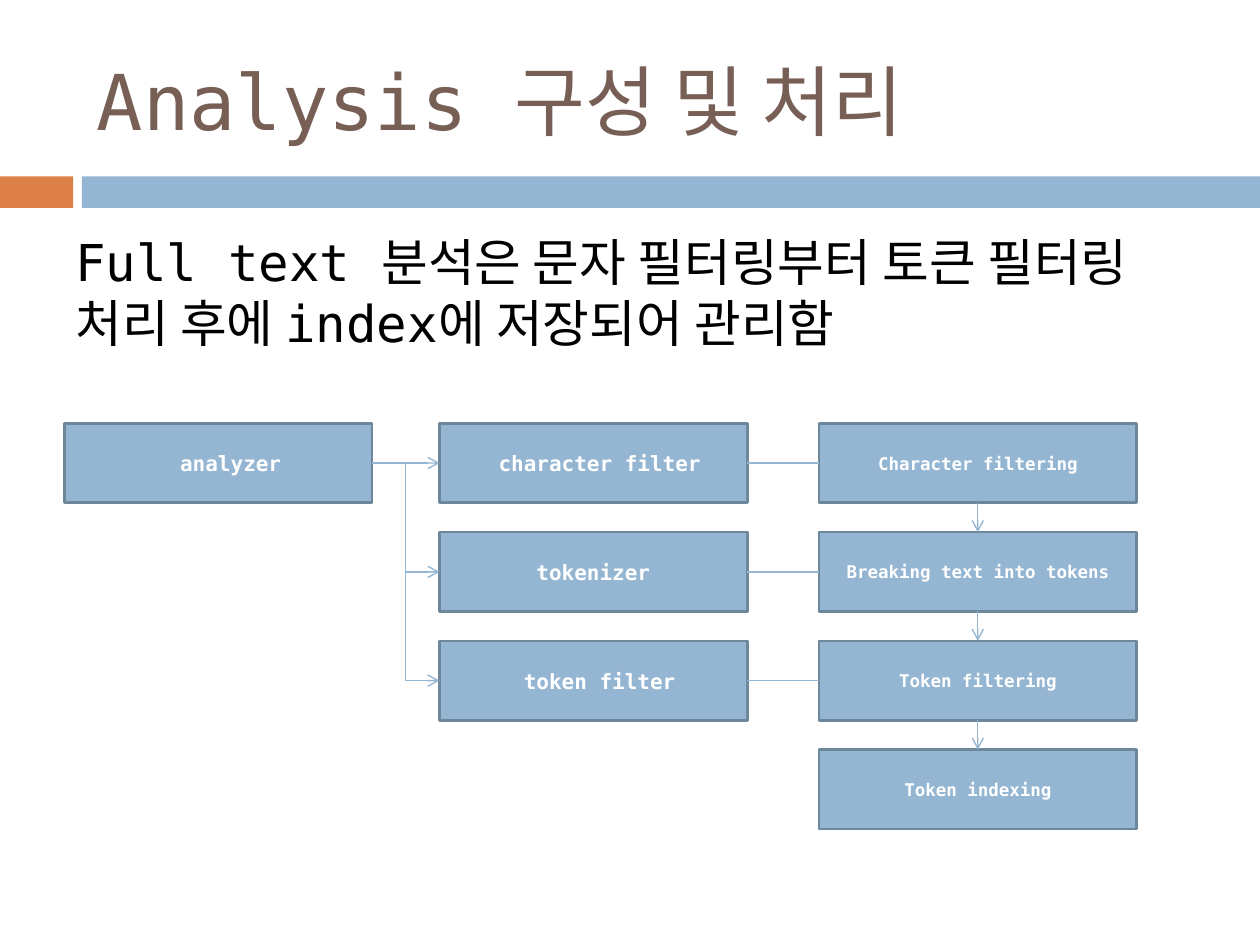
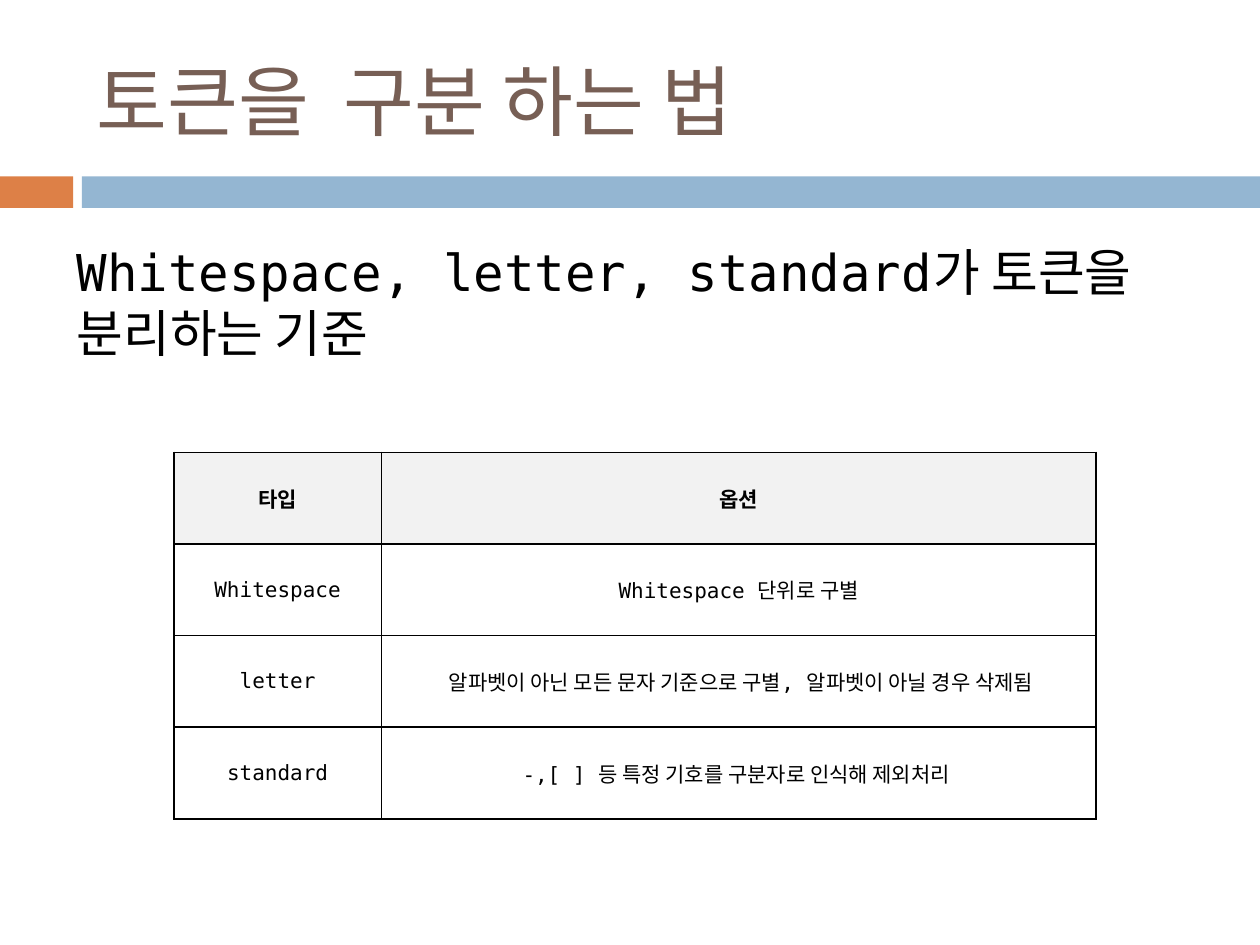
from lxml import etree
from pptx import Presentation
from pptx.dml.color import RGBColor
from pptx.enum.shapes import MSO_CONNECTOR, MSO_SHAPE
from pptx.enum.text import MSO_ANCHOR, PP_ALIGN
from pptx.oxml.ns import qn
from pptx.util import Inches, Pt

RECT = MSO_SHAPE.RECTANGLE
STRAIGHT, ELBOW = MSO_CONNECTOR.STRAIGHT, MSO_CONNECTOR.ELBOW
TOP, MIDDLE = MSO_ANCHOR.TOP, MSO_ANCHOR.MIDDLE
LEFT, CENTER = PP_ALIGN.LEFT, PP_ALIGN.CENTER
SITE_TOP, SITE_LEFT, SITE_BOTTOM, SITE_RIGHT = range(4)

FONT = "DejaVu Sans Mono"
COLORS = {
    "accent": "DD8047", "blue": "94B6D2", "edge": "6D879B", "title": "775F55",
    "text": "000000", "white": "FFFFFF", "header": "F2F2F2",
}
PARTS = ["character filter", "tokenizer", "token filter"]
STEPS = ["Character filtering", "Breaking text into tokens",
         "Token filtering", "Token indexing"]
TOKEN_ROWS = [
    ("타입", "옵션"),
    ("Whitespace", "Whitespace 단위로 구별"),
    ("letter", " 알파벳이 아닌 모든 문자 기준으로 구별, 알파벳이 아닐 경우 삭제됨"),
    ("standard", "-,[ ] 등 특정 기호를 구분자로 인식해 제외처리 "),
]


def rgb(name):
    """Return the named palette colour."""
    return RGBColor.from_string(COLORS[name])


def write(tf, text, size, color, bold=False, align=LEFT, before=0):
    """Fill a text frame with one formatted paragraph."""
    tf.text = text
    p = tf.paragraphs[0]
    p.alignment = align
    p.space_before = Pt(before)
    for r in p.runs:
        r.font.name, r.font.size, r.font.bold = FONT, Pt(size), bold
        r.font.color.rgb = rgb(color)


def add_text(s, box, text, size, color, anchor=TOP, before=0):
    """Add a wrapping text box."""
    tf = s.shapes.add_textbox(*map(Inches, box)).text_frame
    tf.word_wrap = True
    tf.vertical_anchor = anchor
    write(tf, text, size, color, before=before)


def add_rect(s, box, fill, edge=None):
    """Add a flat rectangle, outlined when an edge colour is given."""
    sp = s.shapes.add_shape(RECT, *map(Inches, box))
    sp.shadow.inherit = False
    sp.fill.solid()
    sp.fill.fore_color.rgb = rgb(fill)
    if edge:
        sp.line.color.rgb = rgb(edge)
        sp.line.width = Pt(1.5)
    else:
        sp.line.fill.background()
    return sp


def add_node(s, box, text, size):
    """Add a labelled diagram node."""
    sp = add_rect(s, box, "blue", "edge")
    tf = sp.text_frame
    tf.word_wrap = True
    tf.vertical_anchor = MIDDLE
    write(tf, text, size, "white", True, CENTER)
    return sp


def link(s, start, end, sites=(SITE_RIGHT, SITE_LEFT), kind=STRAIGHT, arrow=True):
    """Join two nodes at the given connection sites."""
    cx = s.shapes.add_connector(kind, 0, 0, 0, 0)
    cx.begin_connect(start, sites[0])
    cx.end_connect(end, sites[1])
    cx.line.color.rgb = rgb("blue")
    cx.line.width = Pt(0.79)
    if arrow:
        etree.SubElement(cx.line._get_or_add_ln(), qn("a:tailEnd"), type="arrow")
    etree.SubElement(cx._element.spPr, qn("a:effectLst"))


def add_frame(prs, title, body, body_box):
    """Add a slide with the shared bands, title and lead text."""
    s = prs.slides.add_slide(prs.slide_layouts[6])
    add_rect(s, (0, 1.4, 0.58, 0.25), "accent")
    add_rect(s, (0.65, 1.4, 9.35, 0.25), "blue")
    add_text(s, (0.67, 0.25, 8.92, 1.08), title, 44, "title", MIDDLE)
    add_text(s, body_box, body, 29, "text", before=7)
    return s


def add_flow(s, box):
    """Draw the analyzer, its parts and the processing steps in three columns."""
    x, y, w, h = box
    part_w, step_w = w * 0.287, w * 0.296
    part_x, step_x = x + w * 0.35, x + w - step_w
    pitch = h / (len(STEPS) - 0.27)
    node_h = pitch * 0.73
    parts = [add_node(s, (part_x, y + i * pitch, part_w, node_h), text, 12)
             for i, text in enumerate([" " + PARTS[0], PARTS[1], " " + PARTS[2]])]
    steps = [add_node(s, (step_x, y + i * pitch, step_w, node_h), text, 10)
             for i, text in enumerate(STEPS)]
    analyzer = add_node(s, (x, y, part_w, node_h), "  analyzer", 12)
    for i, part in enumerate(parts):
        link(s, analyzer, part, kind=ELBOW if i else STRAIGHT)
    for upper, lower in zip(steps, steps[1:]):
        link(s, upper, lower, (SITE_BOTTOM, SITE_TOP))
    for part, step in zip(parts, steps):
        link(s, part, step, arrow=False)


def border(cell):
    """Draw a thin line on all four sides of a cell."""
    tc_pr = cell._tc.get_or_add_tcPr()
    for i, side in enumerate(("lnL", "lnR", "lnT", "lnB")):
        ln = etree.Element(qn("a:" + side), w=str(Pt(1)))
        fill = etree.SubElement(ln, qn("a:solidFill"))
        etree.SubElement(fill, qn("a:srgbClr"), val=COLORS["text"])
        tc_pr.insert(i, ln)


def add_token_table(s, box):
    """Draw the table of token types with a shaded header row."""
    table = s.shapes.add_table(len(TOKEN_ROWS), 2, *map(Inches, box)).table
    for col, share in zip(table.columns, (0.225, 0.775)):
        col.width = Inches(box[2] * share)
    for i, row in enumerate(TOKEN_ROWS):
        for j, text in enumerate(row):
            cell = table.cell(i, j)
            cell.vertical_anchor = MIDDLE
            cell.fill.solid()
            cell.fill.fore_color.rgb = rgb("white" if i else "header")
            write(cell.text_frame, text, 12, "text", i == 0, CENTER)
            border(cell)


def main():
    """Build and save the two slides."""
    prs = Presentation()
    prs.slide_width, prs.slide_height = Inches(10), Inches(7.5)
    s = add_frame(prs, "Analysis 구성 및 처리",
                  "Full text 분석은 문자 필터링부터 토큰 필터링 처리 후에 index에 저장되어 관리함",
                  (0.5, 1.78, 9, 1.3))
    add_flow(s, (0.51, 3.36, 8.51, 3.22))
    s = add_frame(prs, "토큰을  구분 하는 법",
                  "Whitespace, letter, standard가 토큰을 분리하는 기준",
                  (0.51, 1.86, 9, 1.3))
    add_token_table(s, (1.38, 3.59, 7.32, 2.91))
    prs.save("out.pptx")


if __name__ == "__main__":
    main()
